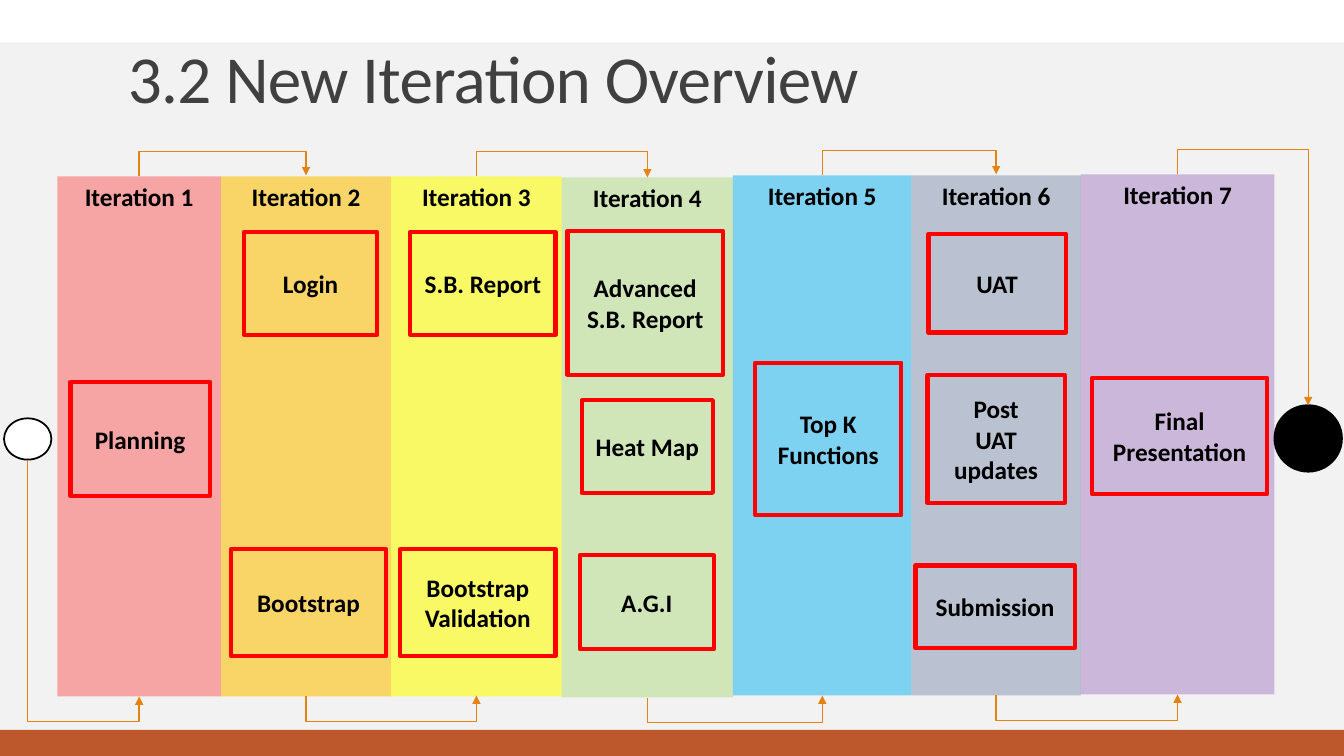
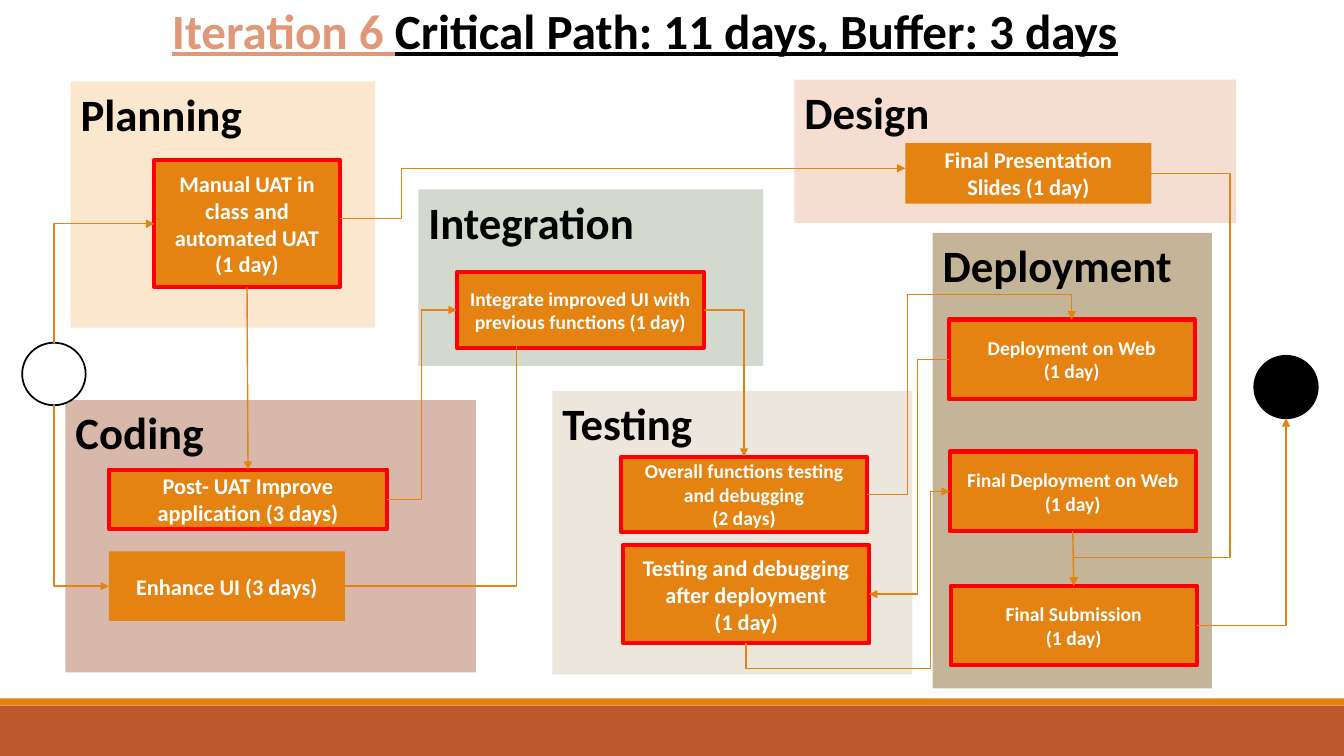
"""Build two project-schedule slides: the iteration overview and the iteration 6 critical path."""
import pptx
import pptx.util
import pptx.dml.color
import pptx.enum.shapes
import pptx.enum.text
import pptx.oxml
import pptx.oxml.ns
from lxml import etree

Inches, Pt = pptx.util.Inches, pptx.util.Pt
SHAPES = pptx.enum.shapes.MSO_SHAPE
CONNECTORS = pptx.enum.shapes.MSO_CONNECTOR
ALIGN = pptx.enum.text.PP_ALIGN
ANCHOR = pptx.enum.text.MSO_ANCHOR
qn = pptx.oxml.ns.qn

WIDTH, HEIGHT = 13.33, 7.5
FONT = "Calibri"
COLORS = {
    "rust": "BD582C", "orange": "E48312", "critical": "FF0000", "black": "000000",
    "white": "FFFFFF", "paper": "F2F2F2", "title": "404040", "accent": "E09878",
}
TOP, LEFT, BOTTOM, RIGHT = range(4)

OVERVIEW_TITLE = "3.2 New Iteration Overview"
COLUMNS_LEFT, COLUMN_HEIGHT, DETOUR = 0.57, 5.16, 0.25
ITERATIONS = [
    ("Iteration 1", 1.62, 1.75, "FF0000", 32),
    ("Iteration 2", 1.69, 1.75, "FFC000", 57),
    ("Iteration 3", 1.69, 1.75, "FFFF00", 58),
    ("Iteration 4", 1.70, 1.76, "92D050", 35),
    ("Iteration 5", 1.77, 1.74, "00B0F0", 48),
    ("Iteration 6", 1.68, 1.74, "002060", 23),
    ("Iteration 7", 1.92, 1.73, "7030A0", 30),
]
DELIVERABLES = [
    ("Planning", (0.7, 3.79, 1.38, 1.13)),
    ("Login", (2.42, 2.3, 1.32, 1.02)),
    ("Bootstrap", (2.29, 5.45, 1.54, 1.06)),
    ("S.B. Report", (4.07, 2.3, 1.44, 1.02)),
    ("Bootstrap\nValidation", (3.97, 5.45, 1.54, 1.06)),
    ("Advanced\nS.B. Report", (5.63, 2.29, 1.54, 1.43)),
    ("Heat Map", (5.77, 3.97, 1.3, 0.92)),
    ("A.G.I", (5.75, 5.51, 1.33, 0.93)),
    ("Top K Functions", (7.49, 3.6, 1.45, 1.51)),
    ("UAT", (9.21, 2.32, 1.36, 0.98)),
    ("Post\nUAT\nupdates", (9.2, 3.72, 1.36, 1.27)),
    ("Submission", (9.08, 5.61, 1.58, 0.82)),
    ("Final Presentation", (10.83, 3.75, 1.74, 1.15)),
]
OVERVIEW_START = (0.04, 4.15, 0.47, 0.41)
OVERVIEW_END = (12.64, 4.02, 0.67, 0.66)

PATH_TITLE = [("Iteration 6 ", "accent"), ("Critical Path: 11 days, Buffer: 3 days", "black")]
PHASES = [
    ("Design", (7.88, 0.79, 4.38, 1.42), "F5DDD2"),
    ("Testing", (5.48, 3.88, 3.57, 2.81), "ECE6DD"),
    ("Coding", (0.65, 3.97, 4.07, 2.7), "D7B8AB"),
    ("Planning", (0.7, 0.81, 3.02, 2.44), "FBE6CE"),
    ("Integration", (4.15, 1.88, 3.42, 1.75), "D4D9CF"),
    ("Deployment", (9.25, 2.31, 2.77, 4.52), "C5B598"),
]
MILESTONES = {"start": (0.22, 3.4, 0.63, 0.62), "finish": (12.44, 3.53, 0.63, 0.62)}
TASKS = {
    "overall": ("Overall functions testing and debugging\n(2 days)", (6.16, 4.53, 2.44, 0.75), 14, True),
    "enhance": ("Enhance UI (3 days)", (1.08, 5.47, 2.34, 0.69), 16, False),
    "integrate": ("Integrate improved UI with previous functions (1 day)", (4.53, 2.7, 2.45, 0.75), 14, True),
    "deploy": ("Deployment on Web\n(1 day)", (9.41, 3.17, 2.44, 0.79), 14, True),
    "improve": ("Post- UAT Improve application (3 days)", (1.08, 4.66, 2.76, 0.59), 16, True),
    "manual": ("Manual UAT in class and automated UAT (1 day)", (1.53, 1.59, 1.84, 1.26), 16, True),
    "retest": ("Testing and debugging after deployment\n(1 day)", (6.18, 5.41, 2.44, 0.97), 16, True),
    "slides": ("Final Presentation Slides (1 day)", (8.98, 1.42, 2.44, 0.6), 16, False),
    "submit": ("Final Submission\n(1 day)", (9.43, 5.81, 2.44, 0.79), 14, True),
    "redeploy": ("Final Deployment on Web\n(1 day)", (9.42, 4.48, 2.44, 0.79), 14, True),
}
ELBOW_LINKS = [
    (("slides", RIGHT), ("submit", TOP), [12.2, 5.53]),
    (("start", TOP), ("manual", LEFT), []),
    (("start", BOTTOM), ("enhance", LEFT), []),
    (("improve", RIGHT), ("integrate", LEFT), [4.18]),
    (("enhance", RIGHT), (5.12, 3.26), []),
    (("integrate", RIGHT), ("overall", TOP), []),
    (("overall", RIGHT), ("deploy", TOP), [9, 2.92]),
    ((3.37, 2.17), (8.98, 1.67), [3.98]),
    (("submit", RIGHT), ("finish", BOTTOM), []),
    (("deploy", LEFT), ("retest", RIGHT), [9.1]),
    (("retest", BOTTOM), ("redeploy", LEFT), [6.63, 9.23]),
]
STRAIGHT_LINKS = [("manual", "improve"), ("redeploy", "submit")]


def rgb(color):
    return pptx.dml.color.RGBColor.from_string(COLORS.get(color, color))


def style_text(paragraph, size, color, bold=True, align=ALIGN.CENTER):
    paragraph.alignment = align
    font = paragraph.font
    font.name, font.size, font.bold = FONT, Pt(size), bold
    if color:
        font.color.rgb = rgb(color)


def add_block(slide, box, fill=None, line=None, line_width=3, text="", size=18,
              color="black", align=ALIGN.CENTER, anchor=ANCHOR.MIDDLE,
              opacity=100, kind=SHAPES.RECTANGLE):
    block = slide.shapes.add_shape(kind, *map(Inches, box))
    block.shadow.inherit = False
    if fill:
        block.fill.solid()
        block.fill.fore_color.rgb = rgb(fill)
        if opacity < 100:
            tint = block._element.spPr.find(".//" + qn("a:srgbClr"))
            etree.SubElement(tint, qn("a:alpha")).set("val", str(opacity * 1000))
    else:
        block.fill.background()
    if line:
        block.line.color.rgb = rgb(line)
        block.line.width = Pt(line_width)
    else:
        block.line.fill.background()
    if text:
        frame = block.text_frame
        frame.word_wrap = True
        frame.vertical_anchor = anchor
        frame.text = text
        for paragraph in frame.paragraphs:
            style_text(paragraph, size, color, align=align)
    return block


def add_milestone(slide, box, fill):
    return add_block(slide, box, fill, "black", 1.25, kind=SHAPES.OVAL)


def add_title(slide, box, runs, size, bold, align):
    title = slide.shapes.add_textbox(*map(Inches, box))
    title.text_frame.word_wrap = True
    paragraph = title.text_frame.paragraphs[0]
    style_text(paragraph, size, None, bold, align)
    for words, color in runs:
        run = paragraph.add_run()
        run.text = words
        run.font.color.rgb = rgb(color)
    return paragraph


def add_arrow(slide, kind, start=(0, 0), end=(0, 0)):
    arrow = slide.shapes.add_connector(kind, *map(Inches, (*start, *end)))
    arrow.line.color.rgb = rgb("orange")
    arrow.line.width = Pt(1)
    etree.SubElement(arrow.line._get_or_add_ln(), qn("a:tailEnd")).set("type", "triangle")
    etree.SubElement(arrow._element.spPr, qn("a:effectLst"))
    return arrow


def add_elbow(slide, start, end, bends, vertical=False):
    """Draw a bent arrow; bends alternate x and y stops, or y and x when vertical."""
    (x0, y0), (x1, y1) = start, end
    dx, dy = x1 - x0, y1 - y0
    if abs(dy) < 0.005:
        dy = -0.01
    arrow = add_arrow(slide, CONNECTORS.ELBOW)
    width, height = (abs(dy), abs(dx)) if vertical else (abs(dx), abs(dy))
    arrow.left, arrow.top = Inches(x0 + (dx - width) / 2), Inches(y0 + (dy - height) / 2)
    arrow.width, arrow.height = Inches(width), Inches(height)
    if vertical:
        turn, flip_h, flip_v = (270, True, dx < 0) if dy > 0 else (90, True, dx > 0)
    else:
        turn, flip_h, flip_v = 0, dx < 0, dy < 0
    frame = arrow._element.spPr.find(qn("a:xfrm"))
    for key, value in (("rot", turn * 60000), ("flipH", int(flip_h)), ("flipV", int(flip_v))):
        if value:
            frame.set(key, str(value))
    geometry = arrow._element.spPr.find(qn("a:prstGeom"))
    geometry.set("prst", f"bentConnector{len(bends) + 2}")
    stops = geometry.find(qn("a:avLst"))
    axes = [(y0, dy), (x0, dx)] if vertical else [(x0, dx), (y0, dy)]
    for number, (bend, (origin, span)) in enumerate(zip(bends, axes), 1):
        stop = etree.SubElement(stops, qn("a:gd"))
        stop.set("name", f"adj{number}")
        stop.set("fmla", f"val {round((bend - origin) / span * 100000)}")


def side_middle(box, side):
    left, top, width, height = box
    return {TOP: (left + width / 2, top), BOTTOM: (left + width / 2, top + height),
            LEFT: (left, top + height / 2), RIGHT: (left + width, top + height / 2)}[side]


def add_footer_bands(master):
    add_block(master, (0, 7, WIDTH, 0.5), "rust")
    add_block(master, (0, 6.93, WIDTH, 0.07), "orange")


def build_overview(slide):
    add_block(slide, (0, 0.42, WIDTH, 6.82), "paper")
    add_block(slide, (0, 7.24, WIDTH, HEIGHT - 7.24), "rust")
    columns, left = [], COLUMNS_LEFT
    for name, width, top, fill, opacity in ITERATIONS:
        columns.append((left, top, width, COLUMN_HEIGHT))
        add_block(slide, columns[-1], fill, text=name, anchor=ANCHOR.TOP, opacity=opacity)
        left += width
    add_milestone(slide, OVERVIEW_START, "white")
    add_milestone(slide, OVERVIEW_END, "black")
    for name, box in DELIVERABLES:
        add_block(slide, box, line="critical", text=name)
    stations = [OVERVIEW_START, *columns, OVERVIEW_END]
    for step, (origin, target) in enumerate(zip(stations, stations[1:])):
        side, offset = (TOP, -DETOUR) if step % 2 else (BOTTOM, DETOUR)
        start, end = side_middle(origin, side), side_middle(target, side)
        edge = end[1] if step == 0 else start[1]
        add_elbow(slide, start, end, [edge + offset], vertical=True)
    title = add_title(slide, (1.17, 0.43, 11, 1.59), [(OVERVIEW_TITLE, "title")], 48, False, ALIGN.LEFT)
    title.line_spacing = 0.85
    title.runs[0]._r.get_or_add_rPr().set("spc", "-50")


def build_critical_path(slide):
    for name, box, fill in PHASES:
        add_block(slide, box, fill, text=name, size=32, align=ALIGN.LEFT, anchor=ANCHOR.TOP)
    title = add_title(slide, (0, -0.05, 12.79, 0.8), PATH_TITLE, 35.1, True, ALIGN.CENTER)
    title.font.underline = True
    add_milestone(slide, MILESTONES["start"], "white")
    add_milestone(slide, MILESTONES["finish"], "black")
    boxes, blocks = dict(MILESTONES), {}
    for key, (text, box, size, critical) in TASKS.items():
        boxes[key] = box
        blocks[key] = add_block(slide, box, "orange", "critical" if critical else None,
                                text=text, size=size, color="white")
    for origin, target, bends in ELBOW_LINKS:
        start, end = (side_middle(boxes[stop[0]], stop[1]) if stop[0] in boxes else stop
                      for stop in (origin, target))
        leaves_vertically = origin[0] in boxes and origin[1] in (TOP, BOTTOM)
        add_elbow(slide, start, end, bends, leaves_vertically)
    for origin, target in STRAIGHT_LINKS:
        arrow = add_arrow(slide, CONNECTORS.STRAIGHT)
        arrow.begin_connect(blocks[origin], BOTTOM)
        arrow.end_connect(blocks[target], TOP)


def main():
    deck = pptx.Presentation()
    deck.slide_width, deck.slide_height = Inches(WIDTH), Inches(HEIGHT)
    blank = deck.slide_layouts[6]
    for build in (build_overview, build_critical_path):
        slide = deck.slides.add_slide(blank)
        add_footer_bands(slide)
        build(slide)
    deck.save("out.pptx")


if __name__ == "__main__":
    main()
